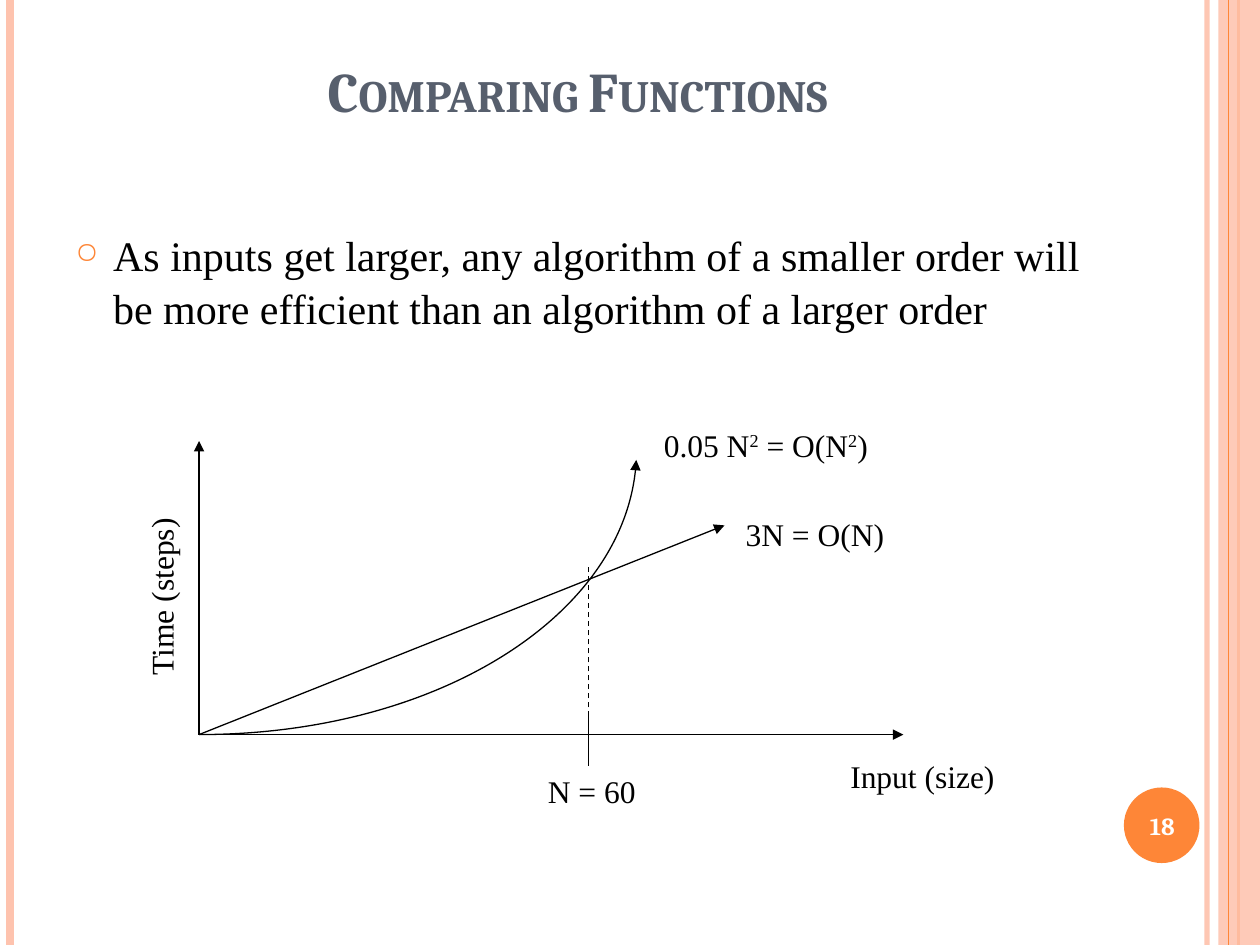
"""Build the slide that compares the growth of two functions."""
from lxml import etree
from pptx import Presentation
from pptx.dml.color import RGBColor
from pptx.enum.dml import MSO_LINE
from pptx.enum.shapes import MSO_CONNECTOR, MSO_SHAPE
from pptx.enum.text import MSO_ANCHOR, MSO_AUTO_SIZE, PP_ALIGN
from pptx.oxml.ns import qn
from pptx.util import Inches, Pt

ORANGE, PEACH, SLATE, BLACK, WHITE = "FE8637", "FEC3AE", "575F6D", "000000", "FFFFFF"
SERIF, HEADING = "Times New Roman", "Cambria"


def color(value):
    return RGBColor.from_string(value)


def add_text(text, left, top, width, height, size=18, font=SERIF, fill=BLACK, bold=False,
             align=PP_ALIGN.LEFT, anchor=MSO_ANCHOR.TOP, wrap=True, rotation=0):
    """Add a text box; parts between ^ marks are superscript."""
    box = slide.shapes.add_textbox(Inches(left), Inches(top), Inches(width), Inches(height))
    box.rotation = rotation
    frame = box.text_frame
    frame.word_wrap = wrap
    frame.auto_size = MSO_AUTO_SIZE.NONE if wrap else MSO_AUTO_SIZE.SHAPE_TO_FIT_TEXT
    frame.vertical_anchor = anchor
    paragraph = frame.paragraphs[0]
    paragraph.alignment = align
    for index, part in enumerate(text.split("^")):
        run = paragraph.add_run()
        run.text = part
        run.font.size, run.font.name, run.font.bold = Pt(size), font, bold
        run.font.color.rgb = color(fill)
        if index % 2:
            run._r.get_or_add_rPr().set("baseline", "30000")
    return box


presentation = Presentation()
presentation.slide_width, presentation.slide_height = Inches(10), Inches(7.5)
slide = presentation.slides.add_slide(presentation.slide_layouts[6])

band = slide.shapes.add_shape(MSO_SHAPE.RECTANGLE, Inches(9.67), 0, Inches(0.33), Inches(7.5))
badge = slide.shapes.add_shape(MSO_SHAPE.OVAL, Inches(8.92), Inches(6.25), Inches(0.6), Inches(0.6))
for shape, fill in [(band, PEACH), (badge, ORANGE)]:
    shape.shadow.inherit = False
    shape.fill.solid()
    shape.fill.fore_color.rgb = color(fill)
    shape.line.fill.background()
band_color = band.fill._xPr.find(".//" + qn("a:srgbClr"))
etree.SubElement(band_color, qn("a:alpha"), val="87000")

title = add_text("Comparing Functions", 0.5, 0.3, 8.17, 1.25, size=32, font=HEADING, fill=SLATE,
                 bold=True, align=PP_ALIGN.CENTER, anchor=MSO_ANCHOR.BOTTOM)
title.text_frame.margin_bottom = Inches(0.57)
title.text_frame.paragraphs[0].runs[0]._r.get_or_add_rPr().set("cap", "small")

body = add_text("As inputs get larger, any algorithm of a smaller order will be more efficient "
                "than an algorithm of a larger order", 0.5, 1.75, 8.17, 5.33, size=24)
paragraph = body.text_frame.paragraphs[0]
paragraph.space_before = Pt(6)
paragraph.line_spacing = 1.05
properties = paragraph._p.get_or_add_pPr()
properties.set("marL", str(Inches(0.3)))
properties.set("indent", str(Inches(-0.3)))
bullet_color = etree.SubElement(properties, qn("a:buClr"))
etree.SubElement(bullet_color, qn("a:srgbClr"), val=ORANGE)
etree.SubElement(properties, qn("a:buSzPct"), val="70000")
etree.SubElement(properties, qn("a:buChar"), char="○")

add_text("18", 8.89, 6.27, 0.67, 0.57, size=14, font=HEADING, fill=WHITE, bold=True,
         align=PP_ALIGN.CENTER, anchor=MSO_ANCHOR.MIDDLE)

origin = (1.58, 5.83)
crossing = 4.67
lines = [
    ((9.58, 0), (9.58, 7.5), PEACH, 3, False, False),
    ((0.08, 0), (0.08, 7.5), PEACH, 4.5, False, False),
    ((9.83, 0), (9.83, 7.5), ORANGE, 1.5, False, False),
    ((9.75, 0), (9.75, 7.5), ORANGE, 0.75, False, False),
    (origin, (1.58, 3.5), BLACK, 0.75, True, False),
    (origin, (7.17, 5.83), BLACK, 0.75, True, False),
    (origin, (5.75, 4.17), BLACK, 0.75, True, False),
    ((crossing, 5.67), (crossing, 6.08), BLACK, 0.75, False, False),
    ((crossing, 5.83), (crossing, 4.5), BLACK, 0.75, False, True),
]
rules = []
arrows = []
for start, end, stroke, width, arrow, dashed in lines:
    connector = slide.shapes.add_connector(MSO_CONNECTOR.STRAIGHT, *map(Inches, start + end))
    connector.line.color.rgb = color(stroke)
    connector.line.width = Pt(width)
    etree.SubElement(connector._element.spPr, qn("a:effectLst"))
    if dashed:
        connector.line.dash_style = MSO_LINE.DASH
    if arrow:
        arrows.append(connector)
    if stroke != BLACK:
        rules.append(connector)

# noqa
band_element = band._element
for rule in rules[:3]:
    band_element.addprevious(rule._element)
band_element.addnext(rules[3]._element)
first_color = rules[0]._element.spPr.find(".//" + qn("a:srgbClr"))
etree.SubElement(first_color, qn("a:alpha"), val="93000")

builder = slide.shapes.build_freeform(*map(Inches, origin))
bezier = [(3.46, 5.83), (4.99, 4.86), (5.05, 3.65)]
builder.add_line_segments([tuple(map(Inches, point)) for point in bezier], close=False)
curve = builder.convert_to_shape()
curve.shadow.inherit = False
curve.fill.background()
curve.line.color.rgb = color(BLACK)
curve.line.width = Pt(0.75)
path_element = curve._element.find(".//" + qn("a:path"))
cubic = etree.SubElement(path_element, qn("a:cubicBezTo"))
for segment in path_element.findall(qn("a:lnTo")):
    cubic.append(segment[0])
    path_element.remove(segment)

for shape in arrows + [curve]:
    etree.SubElement(shape.line._get_or_add_ln(), qn("a:tailEnd"), type="triangle")

labels = [
    ("Time (steps)", 0.55, 4.53, 1.46, 270),
    ("Input (size)", 6.65, 5.96, 1.35, 0),
    ("3N = O(N)", 5.82, 4.04, 1.3, 0),
    ("0.05 N^2^ = O(N^2^)", 5.17, 3.33, 1.84, 0),
    ("N = 60", 4.25, 6.08, 0.9, 0),
]
for text, left, top, width, rotation in labels:
    add_text(text, left, top, width, 0.4, wrap=False, rotation=rotation)

presentation.save("out.pptx")
